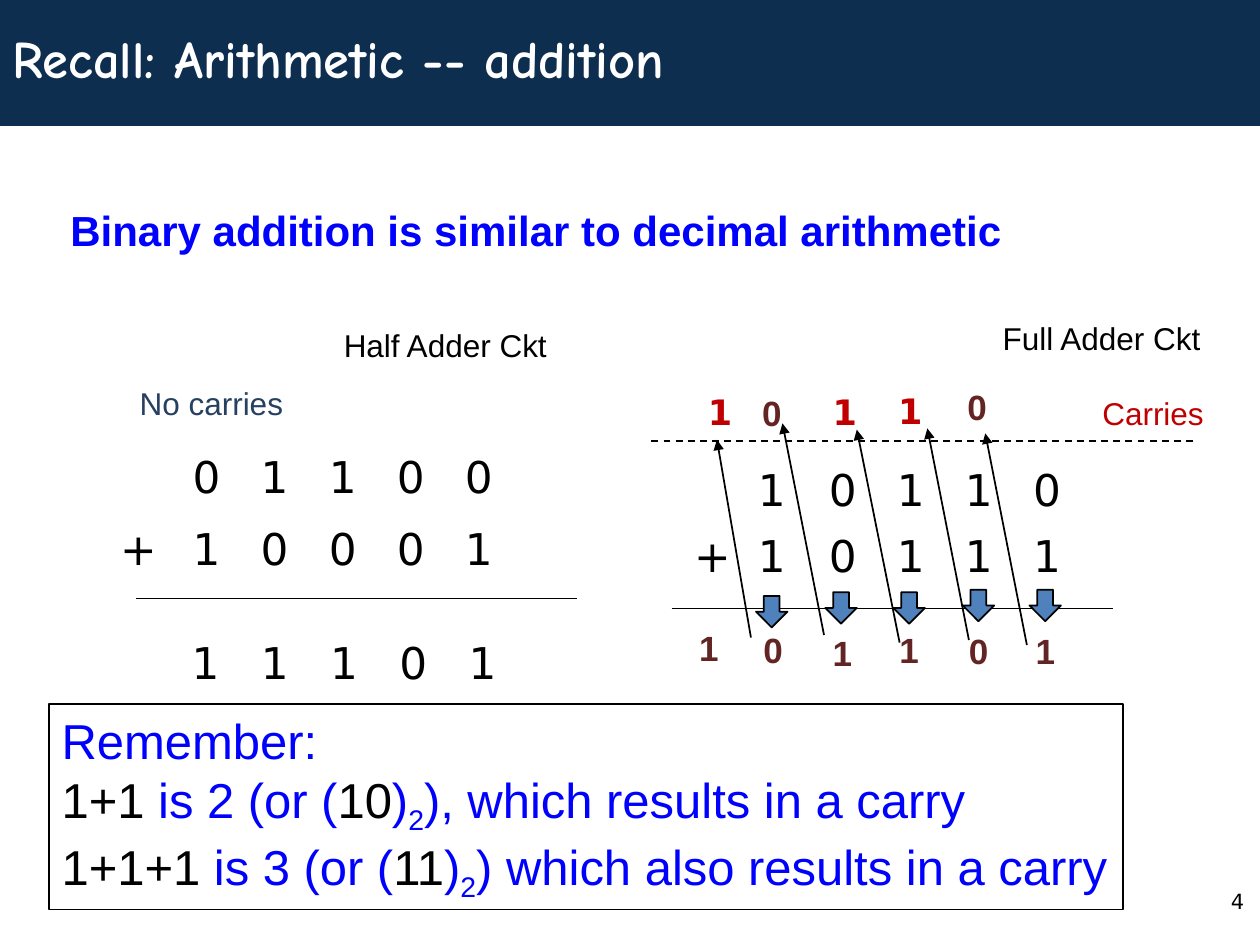
from lxml import etree
from pptx import Presentation
from pptx.dml.color import RGBColor
from pptx.enum.dml import MSO_LINE
from pptx.enum.shapes import MSO_CONNECTOR, MSO_SHAPE
from pptx.enum.text import MSO_ANCHOR, PP_ALIGN
from pptx.oxml.ns import qn
from pptx.util import Inches, Pt

COLORS = {
    "navy": "0D2E4F", "white": "FFFFFF", "black": "000000", "blue": "0000FF",
    "slate": "254061", "red": "C00000", "brown": "632523", "arrow": "4F81BD",
}
SANS, DIGITS, TITLE = "Arial", "DejaVu Sans", "Comic Neue"

# Full adder, left to right: left, top and text of each digit
CARRIES = [(5.52, 3.05, "1"), (5.95, 3.06, "0"), (6.51, 3.05, "1"),
           (7.03, 3.04, "1"), (7.58, 3.01, "0")]
SUM_DIGITS = [(5.45, 4.92, "1"), (5.96, 4.94, "0"), (6.51, 4.96, "1"),
              (7.04, 4.94, "1"), (7.59, 4.95, "0"), (8.12, 4.95, "1")]
DOWN_ARROWS = [(6, 4.73), (6.55, 4.7), (7.09, 4.7), (7.64, 4.68), (8.17, 4.68)]
CARRY_ARROWS = [((5.96, 5.06), (5.69, 3.49)), ((6.54, 5.04), (6.21, 3.36)),
                ((7.14, 5.1), (6.8, 3.41)), ((7.69, 5.08), (7.36, 3.4)),
                ((8.15, 5.12), (7.82, 3.44))]


def rgb(name):
    return RGBColor.from_string(COLORS[name])


def set_font(font, name, size, color, bold=False):
    font.name, font.size, font.bold = name, Pt(size), bold
    font.color.rgb = rgb(color)


def add_text(slide, box, text, font, size, color, bold=False, wrap=False,
             anchor=MSO_ANCHOR.TOP, spacing=None):
    frame = slide.shapes.add_textbox(*map(Inches, box)).text_frame
    frame.word_wrap = wrap
    frame.vertical_anchor = anchor
    paragraph = frame.paragraphs[0]
    paragraph.text = text
    paragraph.line_spacing = spacing
    set_font(paragraph.font, font, size, color, bold)


def add_block(slide, kind, box, fill=None, line=None):
    shape = slide.shapes.add_shape(kind, *map(Inches, box))
    shape.shadow.inherit = False
    if fill:
        shape.fill.solid()
        shape.fill.fore_color.rgb = rgb(fill)
    else:
        shape.fill.background()
    if line:
        shape.line.color.rgb = rgb(line)
        shape.line.width = Pt(1)
    else:
        shape.line.fill.background()
    return shape


def add_line(slide, start, end, dashed=False, arrow=False):
    connector = slide.shapes.add_connector(
        MSO_CONNECTOR.STRAIGHT, *map(Inches, (*start, *end)))
    connector.line.color.rgb = rgb("black")
    connector.line.width = Pt(1)
    if dashed:
        connector.line.dash_style = MSO_LINE.DASH
    if arrow:
        tail = etree.SubElement(connector.line._get_or_add_ln(), qn("a:tailEnd"))
        tail.set("type", "triangle")
    etree.SubElement(connector._element.spPr, qn("a:effectLst"))


def add_digit_boxes(slide, left, top, width, height, digits):
    """A row of equal boxes, one for each character that is not a space."""
    for column, digit in enumerate(digits):
        if digit == " ":
            continue
        box = (left + column * width, top, width, height)
        frame = add_block(slide, MSO_SHAPE.RECTANGLE, box,
                          line="white").text_frame
        frame.vertical_anchor = MSO_ANCHOR.TOP
        frame.margin_top = Inches(0.07)
        paragraph = frame.paragraphs[0]
        paragraph.text = digit
        paragraph.alignment = PP_ALIGN.CENTER
        set_font(paragraph.font, DIGITS, 25, "black")


def add_digit_table(slide, left, top, widths, heights, rows, align):
    """Each row is a string with one character per column."""
    frame = slide.shapes.add_table(
        len(heights), len(widths), Inches(left), Inches(top),
        Inches(sum(widths)), Inches(sum(heights)))
    table = frame.table
    table.first_row = table.horz_banding = False
    for column, width in zip(table.columns, widths):
        column.width = Inches(width)
    for row, height, digits in zip(table.rows, heights, rows):
        row.height = Inches(height)
        for cell, digit in zip(row.cells, digits):
            cell.fill.background()
            paragraph = cell.text_frame.paragraphs[0]
            paragraph.text = digit.strip()
            paragraph.alignment = align
            set_font(paragraph.font, DIGITS, 25, "black")


def add_reminder(slide):
    frame = add_block(slide, MSO_SHAPE.RECTANGLE, (0.39, 5.59, 8.52, 1.63),
                      line="black").text_frame
    frame.word_wrap = False
    frame.vertical_anchor = MSO_ANCHOR.TOP
    lines = [[("Remember:", "blue")]]
    for operation, decimal, binary, ending in (
            ("1+1", "2", "10", "), which results in a carry"),
            ("1+1+1", "3", "11", ") which also results in a carry")):
        lines.append([(operation, "black"), (f" is {decimal} (or (", "blue"),
                      (binary, "black"), (")", "blue"), ("2", "subscript"),
                      (ending, "blue")])
    for index, parts in enumerate(lines):
        paragraph = frame.add_paragraph() if index else frame.paragraphs[0]
        paragraph.alignment = PP_ALIGN.LEFT
        set_font(paragraph.font, SANS, 28, "blue")
        for text, style in parts:
            run = paragraph.add_run()
            run.text = text
            if style == "subscript":
                run.font._element.set("baseline", "-25000")
            elif style == "black":
                run.font.color.rgb = rgb(style)


def add_half_adder(slide):
    add_text(slide, (2.63, 2.54, 1.82, 0.4), "Half Adder Ckt", SANS, 18, "black")
    add_text(slide, (1.01, 3, 1.34, 0.4), "No carries", SANS, 18, "slate")
    add_digit_boxes(slide, 0.83, 3.5, 0.54, 0.57, " 01100")
    add_digit_boxes(slide, 0.83, 4.07, 0.54, 0.52, "+10001")
    add_line(slide, (1.08, 4.75), (4.58, 4.75))
    add_digit_table(slide, 1.42, 5.02, [0.55] * 5, [0.52], ["11101"],
                    PP_ALIGN.LEFT)


def add_full_adder(slide):
    add_text(slide, (7.86, 2.48, 1.78, 0.4), "Full Adder Ckt", SANS, 18, "black")
    add_text(slide, (8.65, 3.08, 1.02, 0.4), "Carries", SANS, 18, "red")
    add_digit_table(slide, 5.41, 3.13, [0.42, 0.59] + [0.54] * 4, [0.52] * 3,
                    [" " * 6, " 10110", "+10111"], PP_ALIGN.CENTER)
    add_line(slide, (5.33, 4.83), (8.83, 4.83))
    add_line(slide, (5.17, 3.5), (9.5, 3.5), dashed=True)
    for left, top in DOWN_ARROWS:
        add_block(slide, MSO_SHAPE.DOWN_ARROW, (left, top, 0.25, 0.25),
                  "arrow", "black")
    for left, top, digit in CARRIES:
        font, color = (DIGITS, "red") if digit == "1" else (SANS, "brown")
        add_text(slide, (left, top, 0.35, 0.44), digit, font, 20, color, True)
    for left, top, digit in SUM_DIGITS:
        add_text(slide, (left, top, 0.35, 0.44), digit, SANS, 20, "brown", True)
    for start, end in CARRY_ARROWS:
        add_line(slide, start, end, arrow=True)


def main():
    presentation = Presentation()
    presentation.slide_width, presentation.slide_height = Inches(10), Inches(7.5)
    slide = presentation.slides.add_slide(presentation.slide_layouts[6])

    # Title band, page number and heading
    add_block(slide, MSO_SHAPE.RECTANGLE, (0, 0, 10, 1), "navy")
    add_text(slide, (9.67, 7, 0.33, 0.5), "4", DIGITS, 12, "black")
    add_text(slide, (0, 0, 10, 0.92), "Recall: Arithmetic -- addition", TITLE,
             30, "white", True, wrap=True, anchor=MSO_ANCHOR.MIDDLE)
    add_text(slide, (0.46, 1.62, 9.21, 0.75),
             "Binary addition is similar to decimal arithmetic",
             SANS, 24, "blue", True, wrap=True, spacing=0.9)

    # Worked sums and the rule behind them
    add_half_adder(slide)
    add_full_adder(slide)
    add_reminder(slide)

    presentation.save("out.pptx")


if __name__ == "__main__":
    main()
